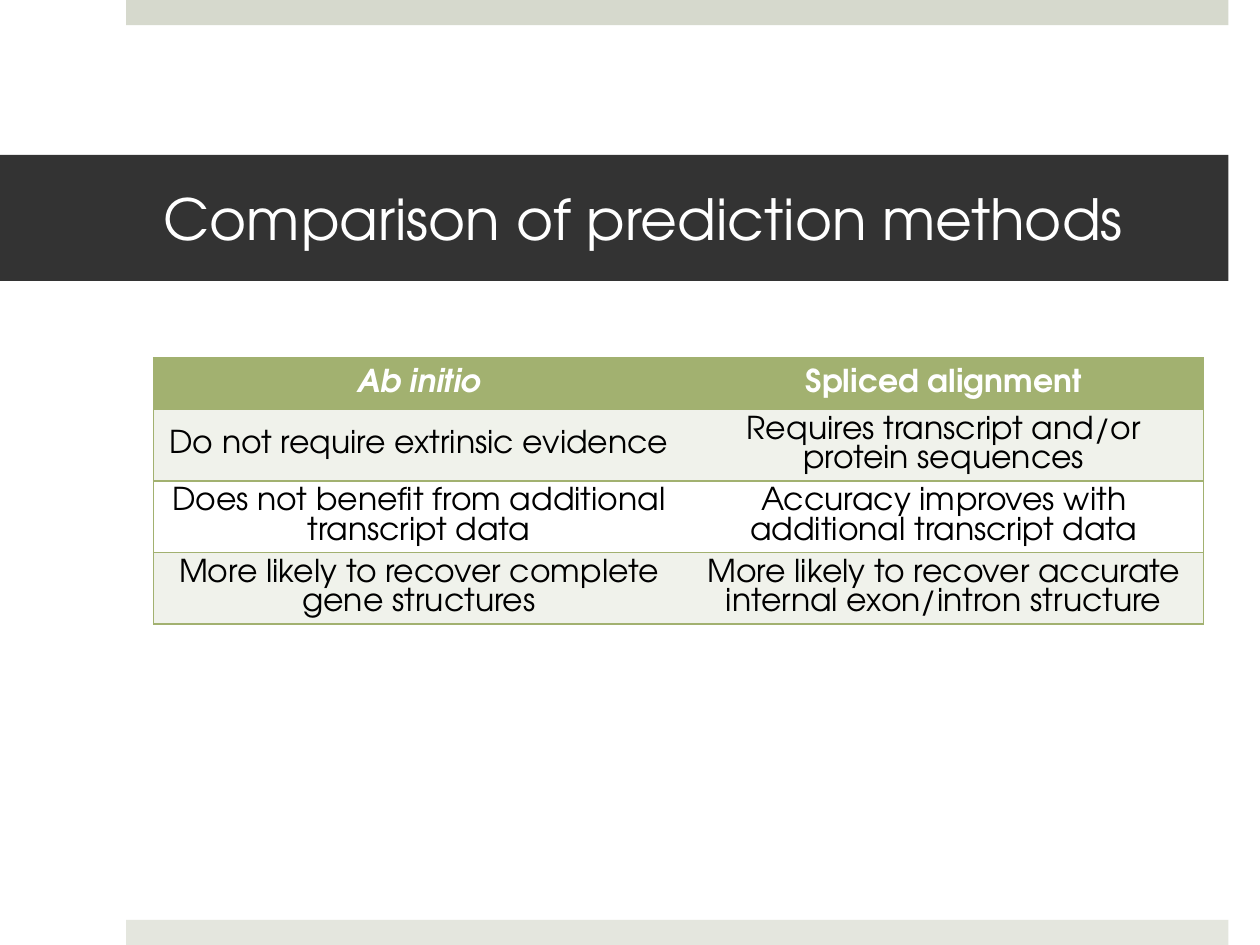
from lxml.etree import SubElement
from pptx import Presentation
from pptx.dml.color import RGBColor
from pptx.enum.shapes import MSO_SHAPE
from pptx.enum.text import MSO_ANCHOR, MSO_AUTO_SIZE, PP_ALIGN
from pptx.oxml.ns import qn
from pptx.util import Inches, Pt

FONT = "TeX Gyre Adventor"
COLORS = {
    "top_band": "D6D9CD",
    "bottom_band": "E4E6DE",
    "title_band": "333333",
    "accent": "A2B170",
    "stripe": "F0F2EB",
    "white": "FFFFFF",
    "black": "000000",
}
WIDTH, HEIGHT = Inches(10), Inches(7.5)
MARGIN, BAND_RIGHT = Inches(1), Inches(9.75)
BAND_HEIGHT = Inches(0.2)
METHODS = [
    ("Ab initio", "Spliced alignment"),
    ("Do not require extrinsic evidence",
     "Requires transcript and/or protein sequences"),
    ("Does not benefit from additional transcript data",
     "Accuracy improves with additional transcript data"),
    ("More likely to recover complete gene structures",
     "More likely to recover accurate internal exon/intron structure"),
]
COLUMN_WIDTHS = (4.21, 4.12)
ROW_HEIGHTS = (0.41, 0.56, 0.56, 0.56)


def paint(fill, color):
    """Give a fill one solid colour from the palette."""
    fill.solid()
    fill.fore_color.rgb = RGBColor.from_string(COLORS[color])


def style_font(font, size, color, bold=False, italic=False):
    """Set the typeface, size, colour and weight of a font."""
    font.name, font.size = FONT, Pt(size)
    font.bold, font.italic = bold, italic
    font.color.rgb = RGBColor.from_string(COLORS[color])


def add_band(slide, top, color):
    """Draw a thin decorative band at the given height."""
    band = slide.shapes.add_shape(
        MSO_SHAPE.RECTANGLE, MARGIN, top, BAND_RIGHT - MARGIN, BAND_HEIGHT)
    band.shadow.inherit = False
    paint(band.fill, color)
    band.line.fill.background()


def set_title(slide, text):
    """Turn the title placeholder into the dark heading bar."""
    title = slide.shapes.title
    title.left, title.top = 0, Inches(1.23)
    title.width, title.height = BAND_RIGHT, Inches(1)
    paint(title.fill, "title_band")
    frame = title.text_frame
    frame.text = text
    frame.word_wrap = True
    frame.auto_size = MSO_AUTO_SIZE.NONE
    frame.vertical_anchor = MSO_ANCHOR.MIDDLE
    frame.margin_left, frame.margin_right = Inches(1.3), Inches(0.3)
    frame.margin_top = frame.margin_bottom = Inches(0.05)
    heading = frame.paragraphs[0]
    heading.alignment = PP_ALIGN.LEFT
    style_font(heading.font, 32.4, "white")


def set_borders(cell, visible_sides):
    """Rule the visible sides of a cell and clear the others."""
    properties = cell._tc.get_or_add_tcPr()
    for side in "LRTB":
        line = SubElement(properties, qn(f"a:ln{side}"), w=str(Pt(1)))
        if side in visible_sides:
            solid = SubElement(line, qn("a:solidFill"))
            SubElement(solid, qn("a:srgbClr"), val=COLORS["accent"])
        else:
            SubElement(line, qn("a:noFill"))


def fill_cell(cell, text, row, column):
    """Write one cell, with header or striped body formatting."""
    header = row == 0
    set_borders(cell, "LTB" if column == 0 else "RTB")
    paint(cell.fill, "accent" if header else "stripe" if row % 2 else "white")
    cell.text = text
    cell.vertical_anchor = MSO_ANCHOR.MIDDLE
    paragraph = cell.text_frame.paragraphs[0]
    paragraph.alignment = PP_ALIGN.CENTER
    style_font(paragraph.font, 18, "white" if header else "black",
               bold=header, italic=header and column == 0)


def add_comparison(slide):
    """Add the table that compares both prediction methods."""
    table = slide.shapes.add_table(
        len(METHODS), len(COLUMN_WIDTHS), Inches(1.22), Inches(2.84),
        Inches(sum(COLUMN_WIDTHS)), Inches(sum(ROW_HEIGHTS))).table
    table.horz_banding = False
    for column, width in zip(table.columns, COLUMN_WIDTHS):
        column.width = Inches(width)
    for row, height in zip(table.rows, ROW_HEIGHTS):
        row.height = Inches(height)
    for row, texts in enumerate(METHODS):
        for column, text in enumerate(texts):
            fill_cell(table.cell(row, column), text, row, column)


def main():
    """Build and save the slide."""
    deck = Presentation()
    deck.slide_width, deck.slide_height = WIDTH, HEIGHT
    slide = deck.slides.add_slide(deck.slide_layouts[5])
    add_band(slide, 0, "top_band")
    add_band(slide, HEIGHT - BAND_HEIGHT, "bottom_band")
    set_title(slide, "Comparison of prediction methods")
    add_comparison(slide)
    deck.save("out.pptx")


main()
